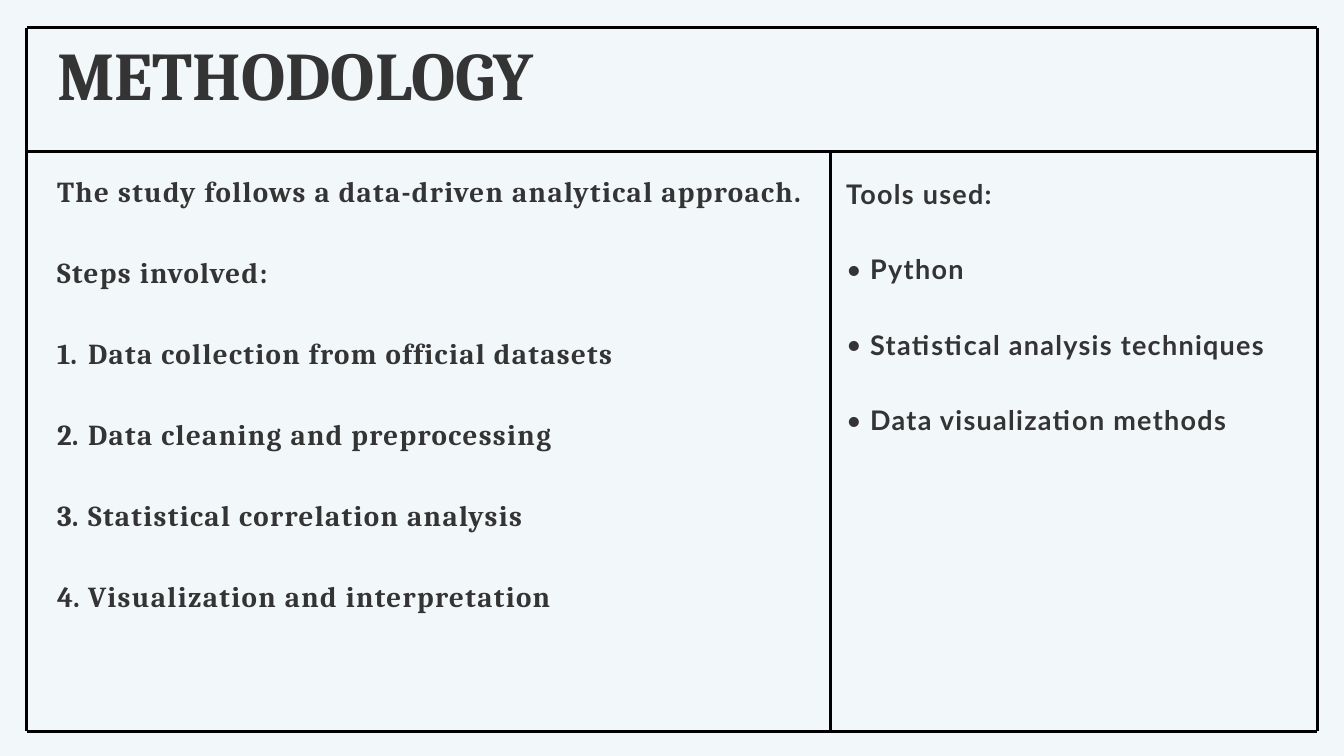
from lxml import etree
from pptx import Presentation, util as u
from pptx.dml.color import RGBColor
from pptx.enum import shapes, text
from pptx.oxml.ns import qn

INK, BACKGROUND, RULE = "343434", "F2F7FA", "000000"
LEFT, DIVIDER, RIGHT = 0.4, 12.36, 19.6
TOP, HEADER_BOTTOM, BOTTOM = 0.41, 2.26, 10.88

TITLE = "METHODOLOGY"
NUMBER = ("buAutoNum", {"type": "arabicPeriod"})
BULLET = ("buChar", {"char": "•"})
COLUMNS = [
    {
        "box": (0.85, 2.49, 11.49, 6.58),
        "style": {"font": "Cambria", "size": 31, "line": 43.4, "tracking": 150},
        "align": text.PP_ALIGN.LEFT,
        "lead": ["The study follows a data-driven analytical approach.", "Steps involved:"],
        "items": [
            "Data collection from official datasets",
            "Data cleaning and preprocessing",
            "Statistical correlation analysis",
            "Visualization and interpretation",
        ],
        "marker": NUMBER,
        "indent": 0.46,
    },
    {
        "box": (12.59, 2.56, 6.78, 3.85),
        "style": {"font": "Lato", "size": 28.9, "line": 40.4, "tracking": 140},
        "align": text.PP_ALIGN.JUSTIFY,
        "lead": ["Tools used:"],
        "items": ["Python", "Statistical analysis techniques", "Data visualization methods"],
        "marker": BULLET,
        "indent": 0.36,
    },
]
RULES = [
    (LEFT, TOP, RIGHT, TOP),
    (LEFT, HEADER_BOTTOM, RIGHT, HEADER_BOTTOM),
    (LEFT, BOTTOM, RIGHT, BOTTOM),
    (LEFT, TOP, LEFT, BOTTOM),
    (DIVIDER, HEADER_BOTTOM, DIVIDER, BOTTOM),
    (RIGHT, TOP, RIGHT, BOTTOM),
]


def color(value):
    """Turn a hex string into a colour."""
    return RGBColor.from_string(value)


def prepare_frame(shape, box):
    """Place a text shape and give it a plain, top-anchored frame."""
    shape.left, shape.top, shape.width, shape.height = map(u.Inches, box)
    frame = shape.text_frame
    frame.word_wrap = True
    frame.auto_size = text.MSO_AUTO_SIZE.NONE
    frame.vertical_anchor = text.MSO_ANCHOR.TOP
    frame.margin_left = frame.margin_top = frame.margin_right = frame.margin_bottom = 0
    return frame


def style_paragraph(paragraph, align, font, size, line, tracking=0):
    """Format a paragraph and its runs."""
    paragraph.alignment = align
    paragraph.line_spacing = u.Pt(line)
    for run in paragraph.runs:
        run.font.name = font
        run.font.size = u.Pt(size)
        run.font.bold = True
        run.font.color.rgb = color(INK)
        run.font._element.set("spc", str(tracking))


def add_marker(paragraph, marker, indent, font):
    """Give a paragraph a hanging list marker."""
    properties = paragraph._p.get_or_add_pPr()
    properties.set("marL", str(u.Inches(indent)))
    properties.set("indent", str(-u.Inches(indent)))
    tag, attributes = marker
    etree.SubElement(properties, qn("a:buFont"), typeface=font)
    etree.SubElement(properties, qn(f"a:{tag}"), attributes)


def add_column(slide, column):
    """Add a text column of lead lines followed by a list."""
    box = column["box"]
    frame = prepare_frame(slide.shapes.add_textbox(*map(u.Inches, box)), box)
    style = column["style"]
    lead_count = len(column["lead"])
    for index, line in enumerate(column["lead"] + column["items"]):
        paragraph = frame.add_paragraph() if index else frame.paragraphs[0]
        paragraph.text = line
        if index >= lead_count:
            add_marker(paragraph, column["marker"], column["indent"], style["font"])
        if index:
            paragraph.space_before = u.Pt(style["line"])
        style_paragraph(paragraph, column["align"], **style)


def add_rule(slide, ends):
    """Add one straight frame line."""
    rule = slide.shapes.add_connector(shapes.MSO_CONNECTOR.STRAIGHT, *map(u.Inches, ends))
    rule.line.color.rgb = color(RULE)
    rule.line.width = u.Pt(3)
    etree.SubElement(rule._element.spPr, qn("a:effectLst"))


def main():
    """Build the methodology slide."""
    presentation = Presentation()
    presentation.slide_width, presentation.slide_height = u.Inches(20), u.Inches(11.25)
    slide = presentation.slides.add_slide(presentation.slide_layouts[5])
    slide.background.fill.solid()
    slide.background.fill.fore_color.rgb = color(BACKGROUND)

    title = prepare_frame(slide.shapes.title, (0.85, 0.71, 11.49, 1.19))
    title.text = TITLE
    style_paragraph(title.paragraphs[0], text.PP_ALIGN.LEFT, "Cambria", 73, 70.8)

    for column in COLUMNS:
        add_column(slide, column)
    for ends in RULES:
        add_rule(slide, ends)
    presentation.save("out.pptx")


if __name__ == "__main__":
    main()
